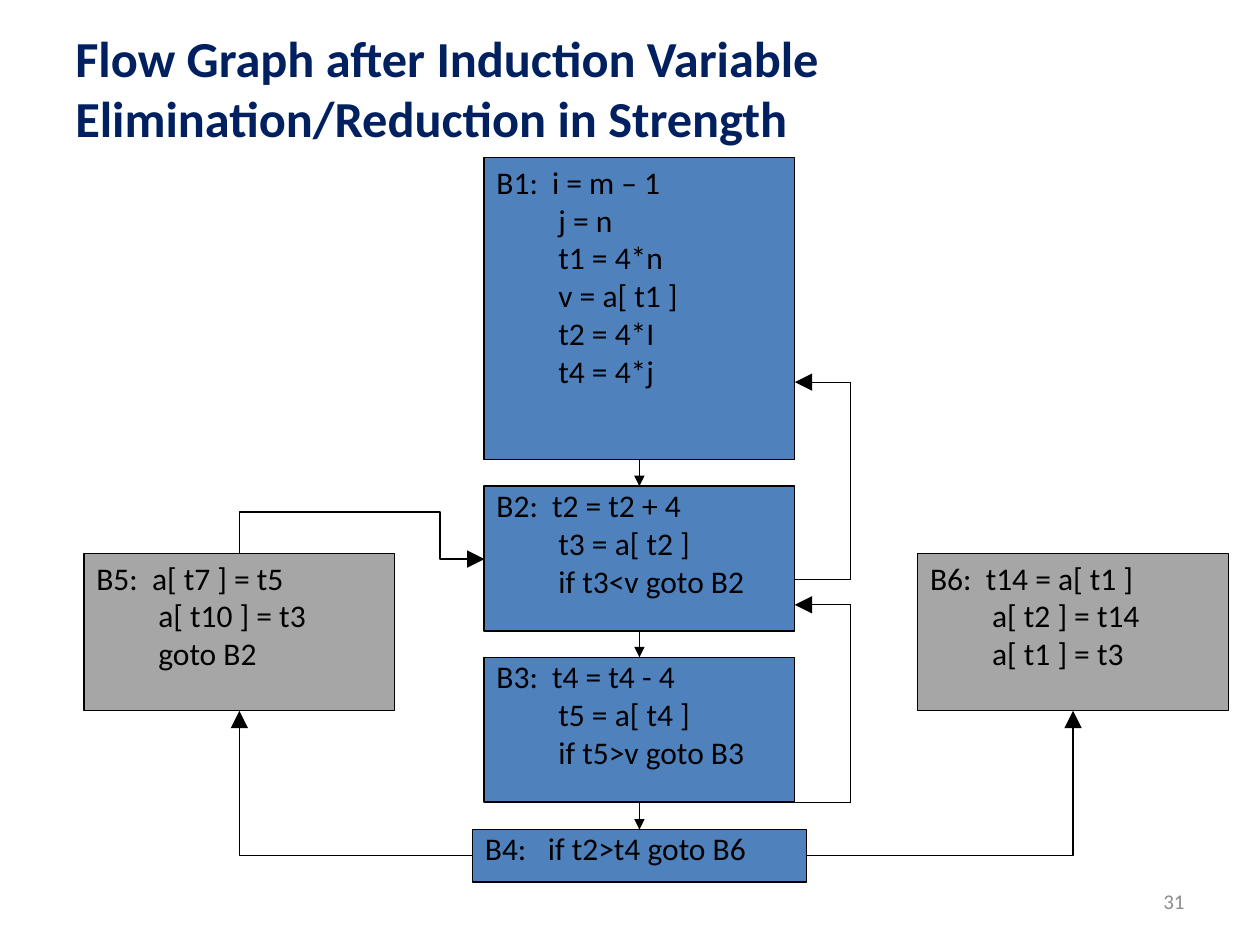
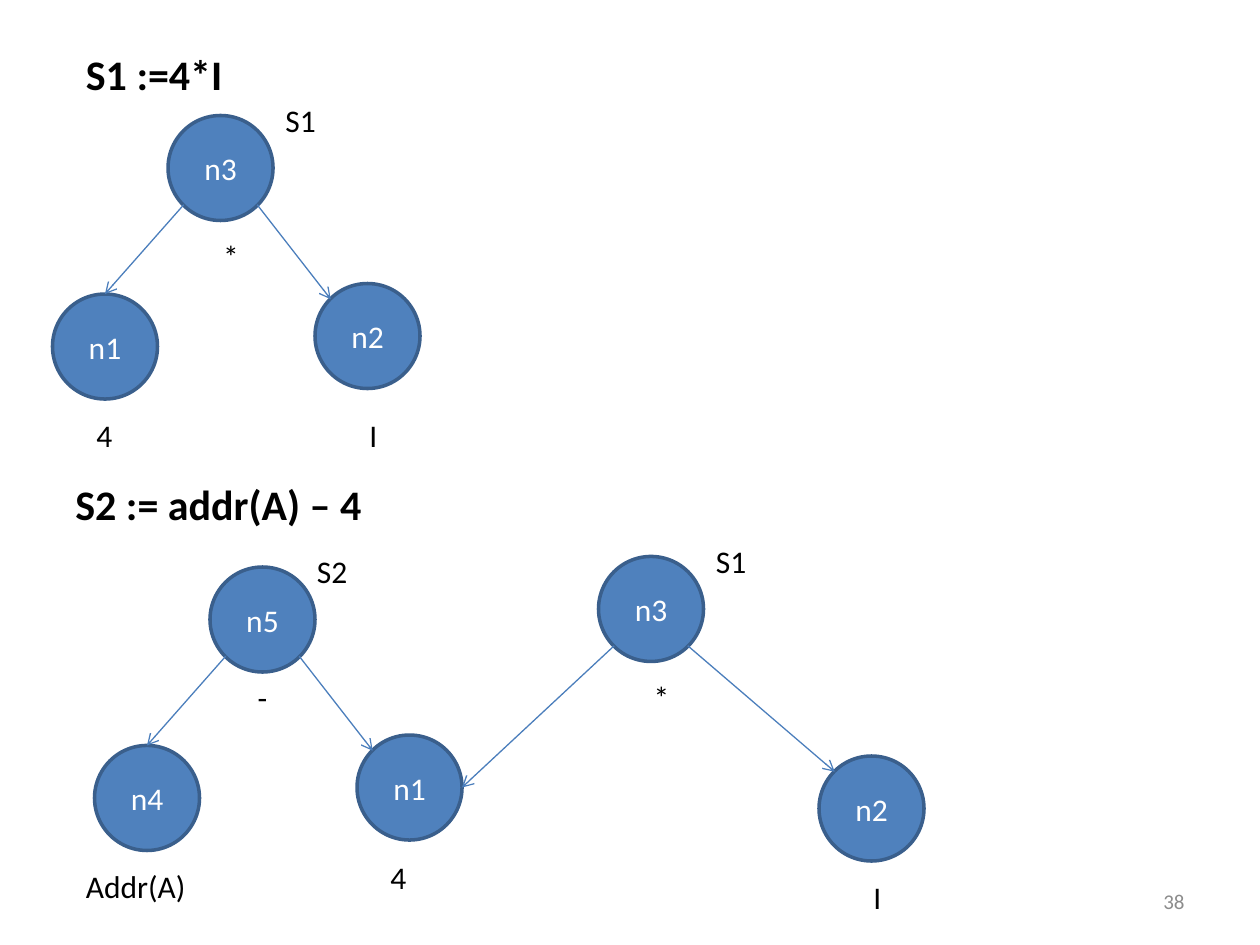
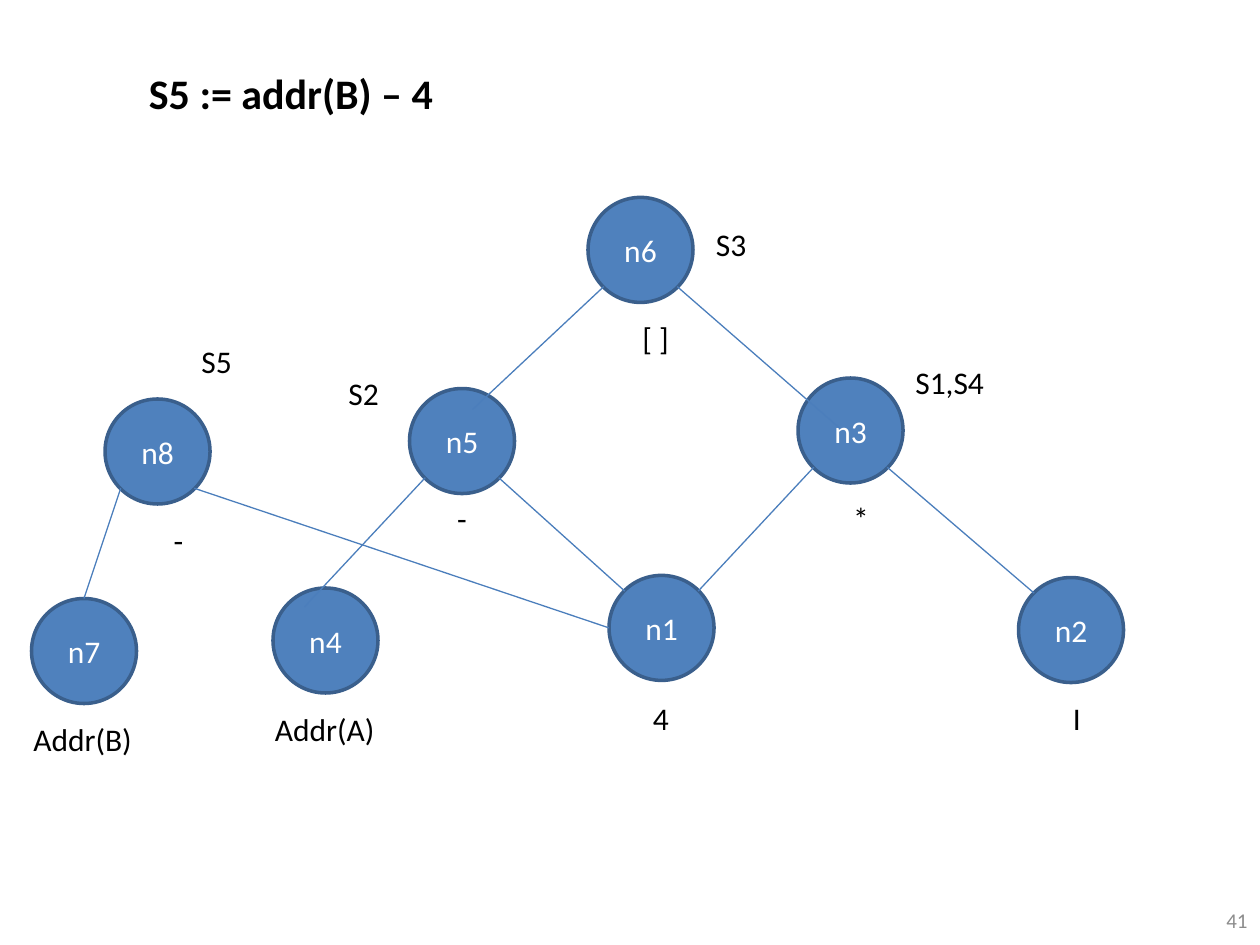
from dataclasses import dataclass
from pptx import Presentation
from pptx.dml.color import RGBColor
from pptx.enum.shapes import MSO_CONNECTOR, MSO_SHAPE
from pptx.enum.text import MSO_ANCHOR, PP_ALIGN
from pptx.oxml.ns import qn
from pptx.util import Emu, Pt
from lxml.etree import SubElement


@dataclass(frozen=True)
class Theme:
    font: str = "Calibri"
    navy: RGBColor = RGBColor(0x00, 0x20, 0x60)
    black: RGBColor = RGBColor(0x00, 0x00, 0x00)
    white: RGBColor = RGBColor(0xFF, 0xFF, 0xFF)
    muted: RGBColor = RGBColor(0x8C, 0x8C, 0x8C)
    blue: RGBColor = RGBColor(0x4F, 0x81, 0xBD)
    rim: RGBColor = RGBColor(0x3A, 0x5F, 0x8C)
    edge: RGBColor = RGBColor(0x4B, 0x7E, 0xBC)
    gray: RGBColor = RGBColor(0xA6, 0xA6, 0xA6)
    title: float = 28.8
    heading: int = 24
    body: int = 18
    number: int = 12
    thin: float = 0.75
    thick: int = 2


THEME = Theme()
PX = 7620


def write(frame, lines, size, color, bold=False, align=PP_ALIGN.LEFT, anchor=MSO_ANCHOR.TOP):
    frame.word_wrap = True
    frame.vertical_anchor = anchor
    for index, line in enumerate(lines):
        paragraph = frame.paragraphs[0] if index == 0 else frame.add_paragraph()
        paragraph.alignment = align
        run = paragraph.add_run()
        run.text = line
        run.font.name = THEME.font
        run.font.size = Pt(size)
        run.font.bold = bold
        run.font.color.rgb = color


def connect(slide, start, end, color, head=None, head_size="med", preset="line"):
    ends = [Emu(value * PX) for value in (*start, *end)]
    link = slide.shapes.add_connector(MSO_CONNECTOR.STRAIGHT, *ends)
    link.line.color.rgb = color
    link.line.width = Pt(THEME.thin)
    properties = link._element.spPr
    properties.find(qn("a:prstGeom")).set("prst", preset)
    if head:
        SubElement(properties.find(qn("a:ln")), qn("a:tailEnd"), type=head, w=head_size, len=head_size)
    SubElement(properties, qn("a:effectLst"))
    return link


deck = Presentation()
deck.slide_width = Emu(1200 * PX)
deck.slide_height = Emu(900 * PX)

slides = []
for number, left, top in [("31", 860, 834), ("38", 860, 834), ("41", 920, 852)]:
    slide = deck.slides.add_slide(deck.slide_layouts[6])
    page = slide.shapes.add_textbox(left * PX, top * PX, 280 * PX, 48 * PX)
    write(page.text_frame, [number], THEME.number, THEME.muted, align=PP_ALIGN.RIGHT, anchor=MSO_ANCHOR.MIDDLE)
    slides.append(slide)

flow = slides[0]
title = flow.shapes.add_textbox(60 * PX, 36 * PX, 1080 * PX, 94 * PX)
write(title.text_frame, ["Flow Graph after Induction Variable Elimination/Reduction in Strength"],
      THEME.title, THEME.navy, bold=True, anchor=MSO_ANCHOR.MIDDLE)

blocks = [
    (461, 150, 296, 288, 5, 53, THEME.blue,
     ["B1:\ti = m – 1", "j = n", "t1 = 4*n", "v = a[ t1 ]", "t2 = 4*I", "t4 = 4*j"]),
    (461, 463, 296, 138, 0, 53, THEME.blue, ["B2:\tt2 = t2 + 4", "t3 = a[ t2 ]", "if t3<v goto B2"]),
    (461, 626, 296, 138, 0, 53, THEME.blue, ["B3:\tt4 = t4 - 4", "t5 = a[ t4 ]", "if t5>v goto B3"]),
    (450, 790, 318, 50, 0, 60, THEME.blue, ["B4:\tif t2>t4 goto B6"]),
    (80, 527, 296, 150, 5, 53, THEME.gray, ["B5:\ta[ t7 ] = t5", "a[ t10 ] = t3", "goto B2"]),
    (874, 527, 296, 150, 5, 53, THEME.gray, ["B6:\tt14 = a[ t1 ]", "a[ t2 ] = t14", "a[ t1 ] = t3"]),
]
for left, top, width, height, inset, lead, fill, code in blocks:
    block = flow.shapes.add_shape(MSO_SHAPE.RECTANGLE, left * PX, top * PX, width * PX, height * PX)
    block.shadow.inherit = False
    block.fill.solid()
    block.fill.fore_color.rgb = fill
    block.line.color.rgb = THEME.black
    block.line.width = Pt(THEME.thin)
    block.text_frame.margin_top = Emu(inset * PX)
    write(block.text_frame, code, THEME.body, THEME.black)
    for index, paragraph in enumerate(block.text_frame.paragraphs):
        indent = paragraph._p.get_or_add_pPr()
        indent.set("marL", str((59 if index else lead) * PX))
        indent.set("indent", str(0 if index else -lead * PX))

for top, bottom in [(438, 463), (601, 626), (764, 790)]:
    connect(flow, (609, top), (609, bottom), THEME.black, "triangle")
for leave, enter in [(552, 364), (764, 576)]:
    connect(flow, (757, leave), (810, leave), THEME.black)
    connect(flow, (810, leave), (810, enter), THEME.black)
    connect(flow, (810, enter), (757, enter), THEME.black, "triangle", "lg")
for start, end in [((450, 815), (228, 677)), ((768, 815), (1022, 677))]:
    connect(flow, start, end, THEME.black, "triangle", "lg", "bentConnector2")

back_to_b2 = connect(flow, (342, 413), (348, 646), THEME.black, "triangle", "lg", "bentConnector4")
turn = back_to_b2._element.spPr.find(qn("a:xfrm"))
turn.set("rot", "16200000")
turn.set("flipH", "1")
bends = back_to_b2._element.spPr.find(qn("a:prstGeom")).find(qn("a:avLst"))
for bend, value in [("adj1", -650000), ("adj2", 81800)]:
    SubElement(bends, qn("a:gd"), name=bend, fmla=f"val {value}")

NODE = 100
TOP, LEFT, RIGHT = (50, 0), (0, 50), (100, 50)
TOP_LEFT, TOP_RIGHT = (15, 15), (85, 15)
BOTTOM_LEFT, BOTTOM_RIGHT = (15, 85), (85, 85)
LABEL_WIDTHS = {"*": 80, "-": 80, "S1,S4": 120, "Addr(A)": 140, "Addr(B)": 140}

trees = [
    (slides[1], "arrow", ("S1 :=4*I", 70, 40),
     {"n3": (160, 110), "n1": (50, 280), "n2": (300, 270)},
     [("n3", BOTTOM_LEFT, "n1", TOP), ("n3", BOTTOM_RIGHT, "n2", TOP_LEFT)],
     [("*", 180, 220), ("S1", 260, 90), ("4", 80, 390), ("I", 340, 390)]),
    (slides[1], "arrow", ("S2 := addr(A) – 4", 60, 450),
     {"n5": (200, 540), "n4": (90, 710), "n1": (340, 700), "n3": (570, 530), "n2": (780, 720)},
     [("n5", BOTTOM_LEFT, "n4", TOP), ("n5", BOTTOM_RIGHT, "n1", TOP_LEFT),
      ("n3", BOTTOM_LEFT, "n1", RIGHT), ("n3", BOTTOM_RIGHT, "n2", TOP_LEFT)],
     [("-", 210, 640), ("S2", 290, 520), ("*", 590, 640), ("S1", 670, 510),
      ("Addr(A)", 70, 820), ("4", 360, 811), ("I", 820, 830)]),
    (slides[2], None, ("S5 := addr(B) – 4", 130, 58),
     {"n5": (390, 370), "n4": (260, 560), "n1": (580, 548), "n3": (760, 360),
      "n2": (970, 550), "n6": (560, 188), "n7": (30, 570), "n8": (100, 380)},
     [("n5", BOTTOM_LEFT, "n4", (30, 18)), ("n5", BOTTOM_RIGHT, "n1", TOP_LEFT),
      ("n3", BOTTOM_LEFT, "n1", TOP_RIGHT), ("n3", BOTTOM_RIGHT, "n2", TOP_LEFT),
      ("n6", BOTTOM_LEFT, "n5", (60, 20)), ("n6", BOTTOM_RIGHT, "n3", (40, 48)),
      ("n8", BOTTOM_RIGHT, "n1", LEFT), ("n8", BOTTOM_LEFT, "n7", TOP)],
     [("-", 400, 469), ("S2", 320, 350), ("*", 780, 469), ("S1,S4", 860, 340),
      ("Addr(A)", 250, 670), ("4", 610, 660), ("I", 1010, 660), ("S3", 670, 208),
      ("[ ]", 600, 298), ("S5", 180, 320), ("Addr(B)", 20, 680), ("-", 130, 490)]),
]
for slide, head, (statement, left, top), nodes, edges, labels in trees:
    heading = slide.shapes.add_textbox(left * PX, top * PX, 320 * PX, 60 * PX)
    write(heading.text_frame, [statement], THEME.heading, THEME.black, bold=True)

    for node, (left, top) in nodes.items():
        circle = slide.shapes.add_shape(MSO_SHAPE.OVAL, left * PX, top * PX, NODE * PX, NODE * PX)
        circle.shadow.inherit = False
        circle.fill.solid()
        circle.fill.fore_color.rgb = THEME.blue
        circle.line.color.rgb = THEME.rim
        circle.line.width = Pt(THEME.thick)
        write(circle.text_frame, [node], THEME.body, THEME.white, align=PP_ALIGN.CENTER, anchor=MSO_ANCHOR.MIDDLE)

    for parent, leave, child, enter in edges:
        start = [corner + offset for corner, offset in zip(nodes[parent], leave)]
        end = [corner + offset for corner, offset in zip(nodes[child], enter)]
        connect(slide, start, end, THEME.edge, head)

    for text, left, top in labels:
        label = slide.shapes.add_textbox(left * PX, top * PX, LABEL_WIDTHS.get(text, 70) * PX, 48 * PX)
        align = PP_ALIGN.CENTER if text in "*-" else PP_ALIGN.LEFT
        write(label.text_frame, [text], THEME.body, THEME.black, align=align)

deck.save("out.pptx")
